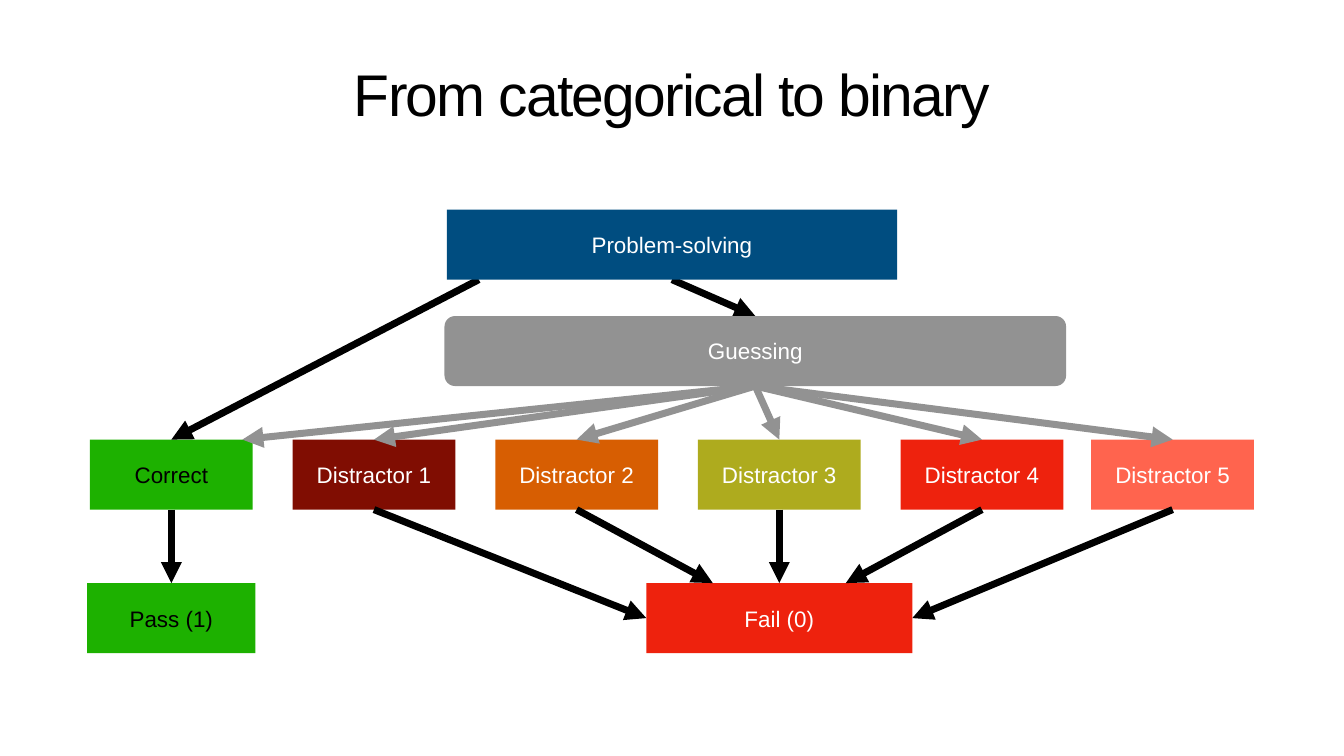
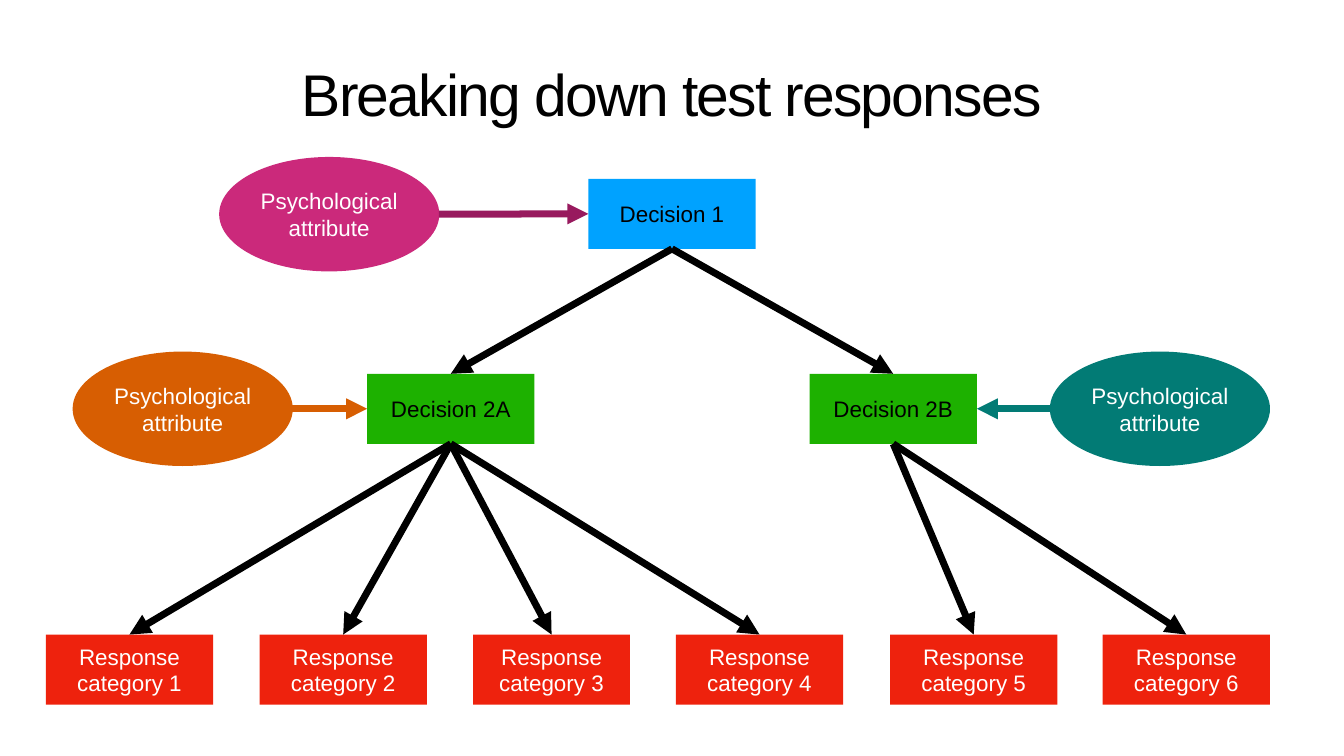
from lxml.etree import SubElement as Sub
from pptx import Presentation
from pptx.dml.color import RGBColor
from pptx.enum.shapes import MSO_CONNECTOR as Line, MSO_SHAPE as Kind
from pptx.enum.text import MSO_ANCHOR as Anchor, MSO_AUTO_SIZE as Auto, PP_ALIGN as Align
from pptx.oxml.ns import qn
from pptx.util import Pt

# Shared colours
BLACK, WHITE, GREY = "000000", "FFFFFF", "929292"
GREEN, RED, ORANGE, TEAL = "1DB100", "EE220D", "D75E02", "027B75"
# Connection sites of a rectangle
TOP, LEFT, BOTTOM, RIGHT = range(4)
HIGH = 100  # height of every box


def rgb(code):
    return RGBColor.from_string(code)


class Deck:
    font, size, big, inset, stroke = "Arial", 32, 84, 4, 10

    def __init__(self):
        self.prs = Presentation()
        self.prs.slide_width, self.prs.slide_height = Pt(1920), Pt(1080)
        self.slide = None

    def label(self, shape, text, size, color, anchor):
        frame = shape.text_frame
        frame.text = text
        frame.word_wrap = True
        frame.auto_size = Auto.NONE
        frame.vertical_anchor = anchor
        frame.margin_left = frame.margin_right = Pt(self.inset)
        frame.margin_top = frame.margin_bottom = Pt(self.inset)
        para = frame.paragraphs[0]
        para.alignment = Align.CENTER
        font = para.runs[0].font
        font.name, font.size = self.font, Pt(size)
        font.color.rgb = rgb(color)
        return para

    def page(self, title):
        self.slide = self.prs.slides.add_slide(self.prs.slide_layouts[5])
        head = self.slide.shapes.title
        head.left, head.top, head.width, head.height = Pt(100), Pt(64), Pt(1720), Pt(122.5)
        para = self.label(head, title, self.big, BLACK, Anchor.BOTTOM)
        para.line_spacing = 0.8
        para.runs[0].font._element.set("spc", "-250")

    def box(self, text, mid, top, wide, fill, ink=WHITE, kind=Kind.RECTANGLE, high=HIGH):
        """Add a filled shape centred on the x position mid."""
        shape = self.slide.shapes.add_shape(
            kind, Pt(mid - wide / 2), Pt(top), Pt(wide), Pt(high))
        shape.shadow.inherit = False
        shape.fill.solid()
        shape.fill.fore_color.rgb = rgb(fill)
        shape.line.fill.background()
        self.label(shape, text, self.size, ink, Anchor.MIDDLE)
        return shape

    def arrow(self, start, end, color=BLACK):
        """Each end is an (x, y) point or a (shape, site) pair to glue to."""
        line = self.slide.shapes.add_connector(Line.STRAIGHT, 0, 0, 0, 0)
        if hasattr(start[0], "left"):
            line.begin_connect(*start)
        else:
            line.begin_x, line.begin_y = map(Pt, start)
        if hasattr(end[0], "left"):
            line.end_connect(*end)
        else:
            line.end_x, line.end_y = map(Pt, end)
        line.line.width = Pt(self.stroke)
        line.line.color.rgb = rgb(color)
        props = line._element.spPr
        Sub(props.find(qn("a:ln")), qn("a:tailEnd"), type="triangle")
        Sub(props, qn("a:effectLst"))

    def front(self, *shapes):
        for shape in shapes:
            self.slide.shapes._spTree.append(shape._element)


def binary(deck):
    deck.page("From categorical to binary")
    row, low = 628, 833

    # Sources of an answer
    solve = deck.box("Problem-solving", 960, 299.5, 643, "004D80")
    guess = deck.box("Guessing", 1079, 451.5, 888, GREY, kind=Kind.ROUNDED_RECTANGLE)
    guess.adjustments[0] = 0.15

    # Answer options
    first, step, wide = 244.8, 289.5, 232.5
    right = deck.box("Correct", first, row, wide, GREEN, BLACK)
    fills = ["800D02", ORANGE, "AEAB1E", RED, "FF644E"]
    mids = [first + step * n for n in range(1, 5)] + [1675.2]
    wrong = [deck.box(f"Distractor {n}", mid, row, wide, fill)
             for n, (mid, fill) in enumerate(zip(mids, fills), 1)]

    # Scores
    done = deck.box("Pass (1)", first, low, 240.5, GREEN, BLACK)
    span = 380
    fail = deck.box("Fail (0)", mids[2], low, span, RED)

    # Arrows into the options
    deck.arrow((684, 399.5), (right, TOP))
    deck.arrow((solve, BOTTOM), (guess, TOP))
    for option in wrong:
        deck.arrow((guess, BOTTOM), (option, TOP), GREY)
    deck.arrow((guess, BOTTOM), (346.3, row), GREY)

    # Arrows into the scores
    deck.arrow((right, BOTTOM), (done, TOP))
    ends = [(fail, LEFT), (mids[2] - span / 4, low), (fail, TOP),
            (mids[2] + span / 4, low), (fail, RIGHT)]
    for option, end in zip(wrong, ends):
        deck.arrow((option, BOTTOM), end)
    deck.front(guess, solve)


def tree(deck):
    deck.page("Breaking down test responses")
    wide, gap, mid = 239, 316, 960

    # Decisions
    root = deck.box("Decision 1", mid, 255.5, wide, "00A2FF", BLACK)
    left = deck.box("Decision 2A", mid - gap, 534, wide, GREEN, BLACK)
    right = deck.box("Decision 2B", mid + gap, 534, wide, GREEN, BLACK)
    for child in (left, right):
        deck.arrow((root, BOTTOM), (child, TOP))

    # Response categories
    mids = [185, 490.3, 788, 1085, 1391, 1694.7]
    for n, x in enumerate(mids, 1):
        cell = deck.box(f"Response category {n}", x, 906.5, 224 if n == 3 else wide, RED)
        deck.arrow((left if n <= 4 else right, BOTTOM), (cell, TOP))

    # Attributes that feed the decisions: centre, start of arrow, target, colours
    feeds = [(470.3, 306, 627, (root, LEFT), "CB297B", "981A5E"),
             (261, 584, 389.5, (left, LEFT), ORANGE, ORANGE),
             (1657, 584, 1500, (right, RIGHT), TEAL, TEAL)]
    high = 163.5
    for x, y, start, end, fill, ink in feeds:
        deck.box("Psychological attribute", x, y - high / 2, 314.5, fill,
                 kind=Kind.OVAL, high=high)
        deck.arrow((start, y), end, ink)


def main():
    deck = Deck()
    binary(deck)
    tree(deck)
    deck.prs.save("out.pptx")


if __name__ == "__main__":
    main()
